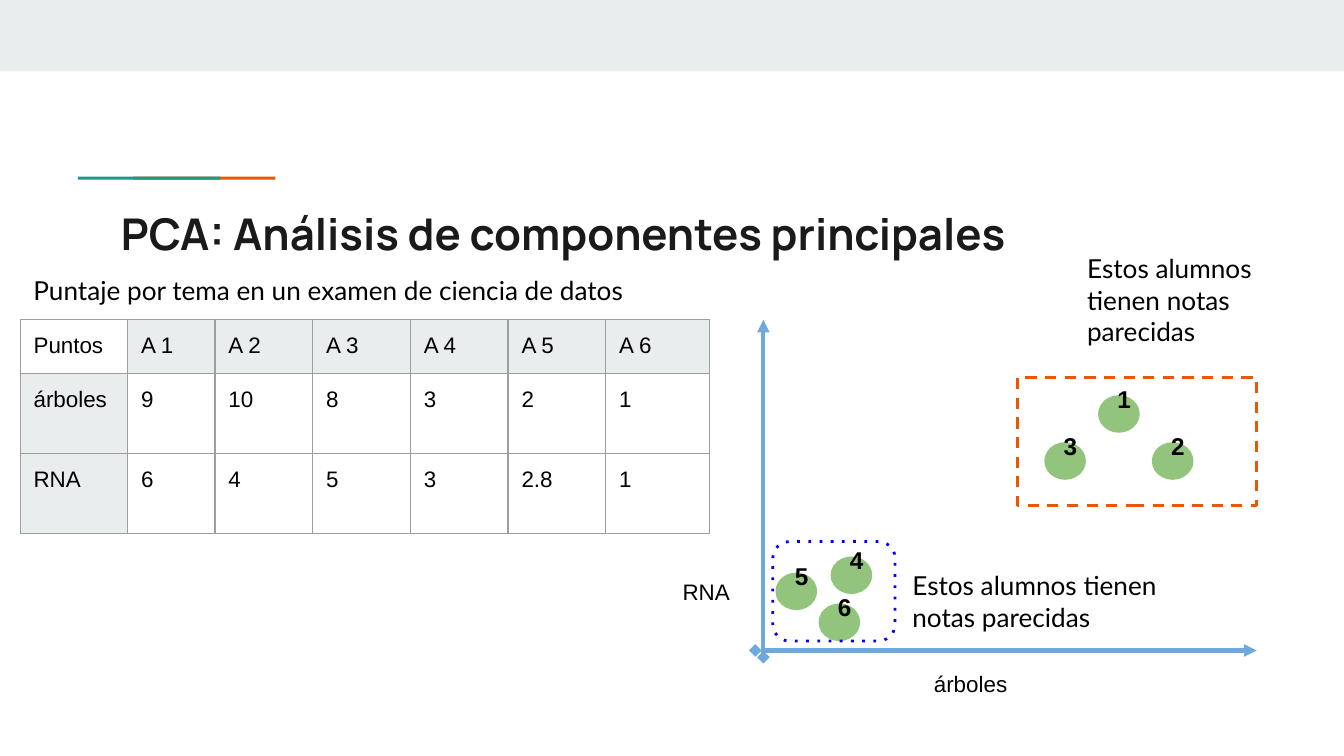
from collections import namedtuple
from pptx import Presentation
from pptx import util as u
from pptx.dml.color import RGBColor
from pptx.enum import shapes, text
from pptx.oxml.ns import qn
from lxml import etree

CELL = u.Inches(0.1)
PALE, GREEN, ORANGE, AXIS, DOT = "E9EDEE", "1A9988", "EB5600", "6FA8DC", "93C47D"
Box = namedtuple("Box", "col row cols rows")


def inside(box, col, row, cols, rows):
    return Box(box.col + col, box.row + row, cols, rows)


def lengths(values):
    return [u.Emu(round(value * CELL)) for value in values]


def colour(value):
    return RGBColor.from_string(value)


def child(parent, tag, **attributes):
    return etree.SubElement(parent, qn(tag), attributes)


def style(font, name, size, bold=False, ink="000000"):
    font.name, font.size, font.bold = name, u.Pt(size), bold
    font.color.rgb = colour(ink)


def set_margins(frame):
    frame.margin_left = frame.margin_right = CELL
    frame.margin_top = frame.margin_bottom = CELL


def add_shape(page, box, kind, fill=None, line=None, dash="solid"):
    shape = page.shapes.add_shape(kind, *lengths(box))
    shape.shadow.inherit = False
    if fill:
        shape.fill.solid()
        shape.fill.fore_color.rgb = colour(fill)
    else:
        shape.fill.background()
    if line:
        shape.line.color.rgb = colour(line)
        shape.line.width = u.Pt(1.5)
        child(shape.line._get_or_add_ln(), "a:prstDash", val=dash)
    else:
        shape.line.fill.background()
    return shape


def add_label(page, box, words, name="Lato", size=14):
    label = page.shapes.add_textbox(*lengths(box))
    frame = label.text_frame
    frame.word_wrap = True
    frame.auto_size = text.MSO_AUTO_SIZE.SHAPE_TO_FIT_TEXT
    set_margins(frame)
    frame.text = words
    style(frame.paragraphs[0].runs[0].font, name, size)


def add_axis(page, box, start, end):
    points = [inside(box, *start, 0, 0), inside(box, *end, 0, 0)]
    ends = [length for point in points for length in lengths(point)[:2]]
    axis = page.shapes.add_connector(shapes.MSO_CONNECTOR.STRAIGHT, *ends)
    axis.line.color.rgb = colour(AXIS)
    axis.line.width = u.Pt(2.25)
    line = axis.line._get_or_add_ln()
    child(line, "a:headEnd", type="diamond")
    child(line, "a:tailEnd", type="triangle")
    child(axis._element.spPr, "a:effectLst")


def add_student(page, box, number):
    student = add_shape(page, box, shapes.MSO_SHAPE.OVAL, DOT)
    frame = student.text_frame
    frame.word_wrap = True
    frame.vertical_anchor = text.MSO_ANCHOR.MIDDLE
    set_margins(frame)
    para = frame.paragraphs[0]
    para.alignment = text.PP_ALIGN.CENTER
    for words, size, bold in ((str(number), 13, True), (" ", 14, False)):
        span = para.add_run()
        span.text = words
        style(span.font, "Arial", size, bold)


def build_header(page, box):
    rectangle = shapes.MSO_SHAPE.RECTANGLE
    add_shape(page, inside(box, 0, 0, box.cols, 5.32), rectangle, PALE)
    for col, fill in ((9.9, ORANGE), (5.8, GREEN)):
        add_shape(page, inside(box, col, 13.15, 10.6, 0.22), rectangle, fill)
    title = page.shapes.title
    title.left, title.top, title.width, title.height = lengths(
        inside(box, 8, 14.4, 84.1, 5.9))
    frame = title.text_frame
    frame.auto_size = text.MSO_AUTO_SIZE.NONE
    frame.word_wrap = True
    frame.vertical_anchor = text.MSO_ANCHOR.TOP
    set_margins(frame)
    frame.text = "PCA: Análisis de componentes principales"
    para = frame.paragraphs[0]
    para.alignment = text.PP_ALIGN.LEFT
    para.line_spacing = 1.0
    style(para.runs[0].font, "Manrope", 23.4, True, "1A1A1A")


def format_cell(cell, shaded):
    set_margins(cell)
    style(cell.text_frame.paragraphs[0].runs[0].font, "Arial", 12)
    properties = cell._tc.get_or_add_tcPr()
    for side in ("a:lnL", "a:lnR", "a:lnT", "a:lnB"):
        border = child(properties, side, w=str(u.Pt(0.75)))
        child(child(border, "a:solidFill"), "a:srgbClr", val="9E9E9E")
    if shaded:
        cell.fill.solid()
        cell.fill.fore_color.rgb = colour(PALE)
    else:
        cell.fill.background()


def build_scores(page, box):
    add_label(page, inside(box, 0, 0, box.cols, 4.4),
              "Puntaje por tema en un examen de ciencia de datos")
    scores = [["Puntos"] + [f"A {number}" for number in range(1, 7)],
              ["árboles", "9", "10", "8", "3", "2", "1"],
              ["RNA", "6", "4", "5", "3", "2.8", "1"]]
    widths = [8, 6.5] + [7.27] * 4 + [7.7]
    heights = [3.5, 5.95, 5.95]
    place = inside(box, 0, 4.4, sum(widths), sum(heights))
    table = page.shapes.add_table(3, 7, *lengths(place)).table
    table.first_row = table.horz_banding = False
    for column, width in zip(table.columns, lengths(widths)):
        column.width = width
    for row, height in zip(table.rows, lengths(heights)):
        row.height = height
    for row, values in enumerate(scores):
        for column, value in enumerate(values):
            cell = table.cell(row, column)
            cell.text = value
            format_cell(cell, (row == 0) != (column == 0))


def build_cluster(page, box, kind, line, dash, students):
    for number, col, row in students:
        add_student(page, inside(box, col, row, 3.1, 2.8), number)
    add_shape(page, box, kind, line=line, dash=dash)


def build_plot(page, box):
    add_axis(page, box, (6.4, 30.6), (43.7, 30.6))
    add_axis(page, box, (7, 31.1), (7, 6))
    build_cluster(page, inside(box, 7.7, 22.5, 9.1, 7.4),
                  shapes.MSO_SHAPE.ROUNDED_RECTANGLE, "0000FF", "dot",
                  ((6, 3.4, 4.6), (5, 0.2, 2.3), (4, 4.3, 1.1)))
    build_cluster(page, inside(box, 25.9, 10.3, 17.8, 9.5),
                  shapes.MSO_SHAPE.RECTANGLE, ORANGE, "dash",
                  ((3, 2, 4.8), (1, 6, 1.3), (2, 10, 4.8)))
    add_label(page, inside(box, 18.7, 31.1, 9.1, 4), "árboles", "Arial", 12)
    add_label(page, inside(box, 0, 24.2, 6.1, 4), "RNA", "Arial", 12)
    for place in ((30.1, 0, 15.9, 9.1), (17.1, 23.6, 24.6, 6.7)):
        add_label(page, inside(box, *place),
                  "Estos alumnos tienen notas parecidas")


def main():
    deck = Presentation()
    deck.slide_width = u.Inches(10)
    deck.slide_height = u.Emu(deck.slide_width * 9 // 16)
    page = deck.slides.add_slide(deck.slide_layouts[5])
    build_header(page, Box(0, 0, 100, 20.3))
    build_scores(page, Box(1.5, 19.4, 51.3, 20))
    build_plot(page, Box(49.8, 17.8, 46, 35.1))
    deck.save("out.pptx")


if __name__ == "__main__":
    main()
